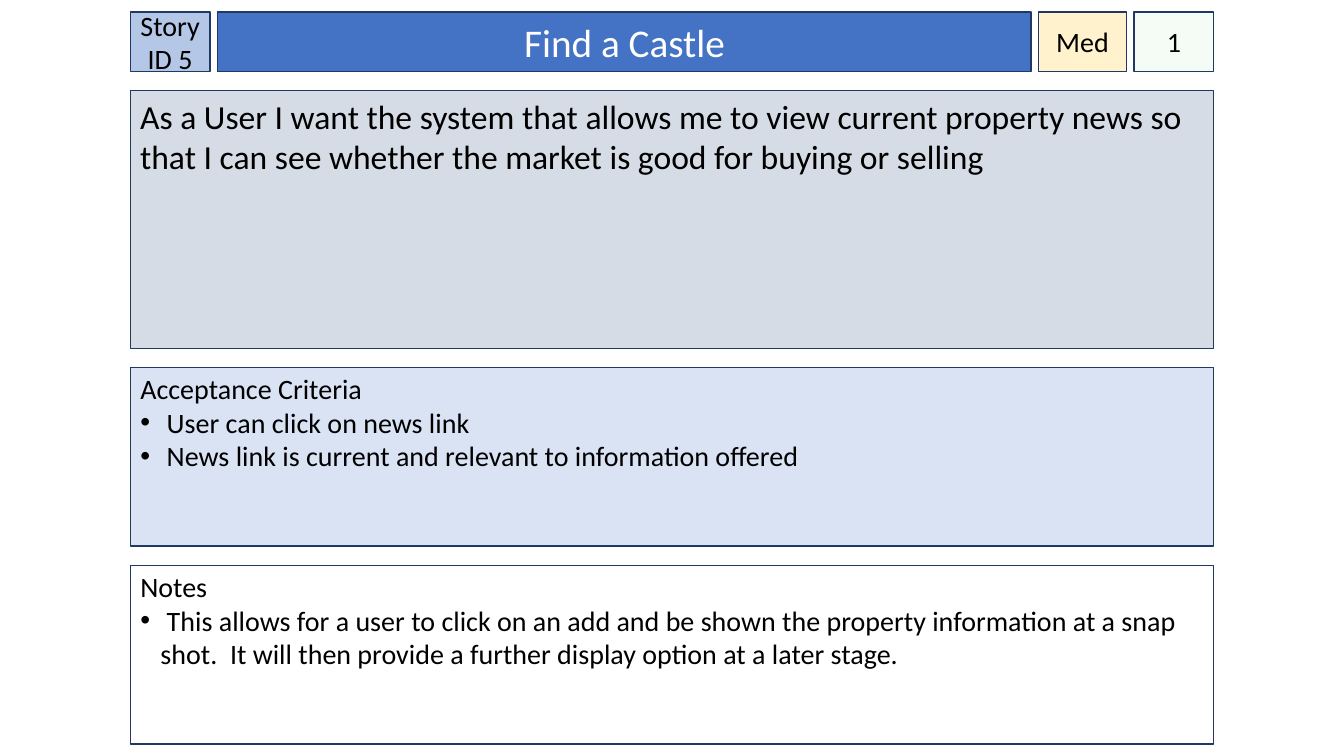
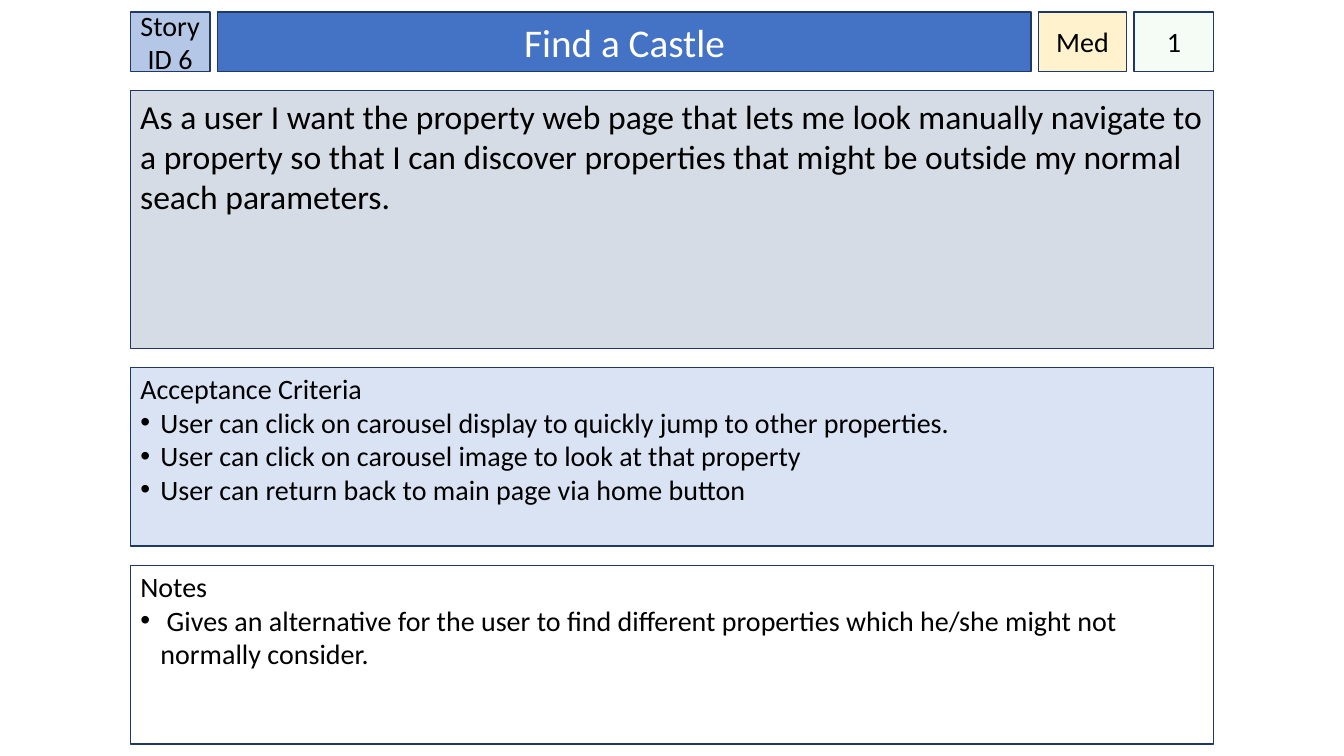
from dataclasses import dataclass

from lxml import etree
from pptx import Presentation
from pptx.dml.color import RGBColor
from pptx.enum import shapes, text
from pptx.oxml.ns import qn
from pptx.util import Pt


@dataclass(frozen=True)
class Theme:
    font: str = "Calibri"
    title_size: int = 28
    story_size: int = 24
    label_size: int = 20
    ink: str = "000000"
    title_ink: str = "FFFFFF"
    outline: str = "203864"
    title_fill: str = "4472C4"
    story_id_fill: str = "B4C7E7"
    priority_fill: str = "FFF2CC"
    estimate_fill: str = "CCF0CD"
    story_fill: str = "D6DCE5"
    criteria_fill: str = "DAE3F3"
    remarks_fill: str = "FFFFFF"


THEME = Theme()
LEFT, TOP, WIDTH = 93, 8.5, 774
HEADER_HEIGHT, HEADER_GAP = 42.5, 5.5
STORY_HEIGHT, LIST_HEIGHT, PANEL_GAP = 184, 127.5, 13.8
HEADER_WIDTHS = (57, 581, 62.5, 57)
BULLET_INDENT = 14.4

STORIES = [
    {
        "id": "Story ID 5",
        "title": "Find a Castle",
        "priority": "Med",
        "estimate": "1",
        "story": "As a User I want the system that allows me to view current property news "
                 "so that I can see whether the market is good for buying or selling",
        "criteria": [" User can click on news link",
                     " News link is current and relevant to information offered"],
        "remarks": [" This allows for a user to click on an add and be shown the property "
                    "information at a snap shot.  It will then provide a further display "
                    "option at a later stage."],
    },
    {
        "id": "Story ID 6",
        "title": "Find a Castle",
        "priority": "Med",
        "estimate": "1",
        "story": "As a user I want the property web page that lets me look manually navigate "
                 "to a property so that I can discover properties that might be outside my "
                 "normal seach parameters.",
        "criteria": ["User can click on carousel display to quickly jump to other properties.",
                     "User can click on carousel image to look at that property",
                     "User can return back to main page via home button"],
        "remarks": [" Gives an alternative for the user to find different properties which "
                    "he/she might not normally consider."],
    },
]


def style_box(shape, box, fill, insets, anchor):
    """Place a shape, colour it and prepare its text frame; insets are left/right and top."""
    shape.left, shape.top, shape.width, shape.height = (Pt(length) for length in box)
    shape.fill.solid()
    shape.fill.fore_color.rgb = RGBColor.from_string(fill)
    shape.line.color.rgb = RGBColor.from_string(THEME.outline)
    shape.line.width = Pt(1)
    frame = shape.text_frame
    frame.auto_size = text.MSO_AUTO_SIZE.NONE
    frame.word_wrap = True
    frame.vertical_anchor = anchor
    frame.margin_left = frame.margin_right = Pt(insets[0])
    frame.margin_top, frame.margin_bottom = Pt(insets[1]), Pt(3.6)


def write_paragraphs(frame, lines, size, color, alignment, bulleted=False):
    """Fill a frame with lines; when bulleted, the first line is a plain heading."""
    frame.text = "\n".join(lines)
    for index, paragraph in enumerate(frame.paragraphs):
        paragraph.alignment = alignment
        paragraph.space_before = Pt(0)
        if bulleted:
            indent = Pt(BULLET_INDENT) if index else 0
            properties = paragraph._p.get_or_add_pPr()
            properties.set("marL", str(indent))
            properties.set("indent", str(-indent))
            if index:
                etree.SubElement(properties, qn("a:buFont")).set("typeface", "Arial")
                etree.SubElement(properties, qn("a:buChar")).set("char", "•")
            else:
                etree.SubElement(properties, qn("a:buNone"))
        paragraph.font.name = THEME.font
        paragraph.font.size = Pt(size)
        paragraph.font.color.rgb = RGBColor.from_string(color)


presentation = Presentation()
presentation.slide_width, presentation.slide_height = Pt(960), Pt(540)
two_content_layout = presentation.slide_layouts[3]

header_lefts = [LEFT + sum(HEADER_WIDTHS[:i]) + i * HEADER_GAP for i in range(len(HEADER_WIDTHS))]
id_box, title_box, priority_box, estimate_box = (
    (left, TOP, width, HEADER_HEIGHT) for left, width in zip(header_lefts, HEADER_WIDTHS))
story_top = TOP + HEADER_HEIGHT + PANEL_GAP
criteria_top = story_top + STORY_HEIGHT + PANEL_GAP
remarks_top = criteria_top + LIST_HEIGHT + PANEL_GAP
story_box = (LEFT, story_top, WIDTH, STORY_HEIGHT)

MIDDLE, UPPER = text.MSO_ANCHOR.MIDDLE, text.MSO_ANCHOR.TOP
CENTER, START = text.PP_ALIGN.CENTER, text.PP_ALIGN.LEFT

for story in STORIES:
    slide = presentation.slides.add_slide(two_content_layout)
    title, criteria, remarks = slide.placeholders

    style_box(title, title_box, THEME.title_fill, (7.2, 3.6), MIDDLE)
    write_paragraphs(title.text_frame, [story["title"]], THEME.title_size, THEME.title_ink, CENTER)

    for panel, heading, items, top, fill in (
        (criteria, "Acceptance Criteria", story["criteria"], criteria_top, THEME.criteria_fill),
        (remarks, "Notes", story["remarks"], remarks_top, THEME.remarks_fill),
    ):
        style_box(panel, (LEFT, top, WIDTH, LIST_HEIGHT), fill, (7.2, 2.9), UPPER)
        write_paragraphs(panel.text_frame, [heading, *items], THEME.label_size, THEME.ink,
                         START, bulleted=True)

    for key, box, fill, size, insets, anchor, alignment in (
        ("id", id_box, THEME.story_id_fill, THEME.label_size, (0, 3.6), MIDDLE, CENTER),
        ("priority", priority_box, THEME.priority_fill, THEME.label_size, (0, 3.6), MIDDLE, CENTER),
        ("estimate", estimate_box, THEME.estimate_fill, THEME.label_size, (0, 3.6), MIDDLE, CENTER),
        ("story", story_box, THEME.story_fill, THEME.story_size, (7.2, 3.6), UPPER, START),
    ):
        shape = slide.shapes.add_shape(shapes.MSO_SHAPE.RECTANGLE, *(Pt(length) for length in box))
        shape.shadow.inherit = False
        style_box(shape, box, fill, insets, anchor)
        write_paragraphs(shape.text_frame, [story[key]], size, THEME.ink, alignment)
        if key == "estimate":
            fill_color = shape._element.spPr.find(qn("a:solidFill"))[0]
            etree.SubElement(fill_color, qn("a:alpha")).set("val", "20000")

presentation.save("out.pptx")
